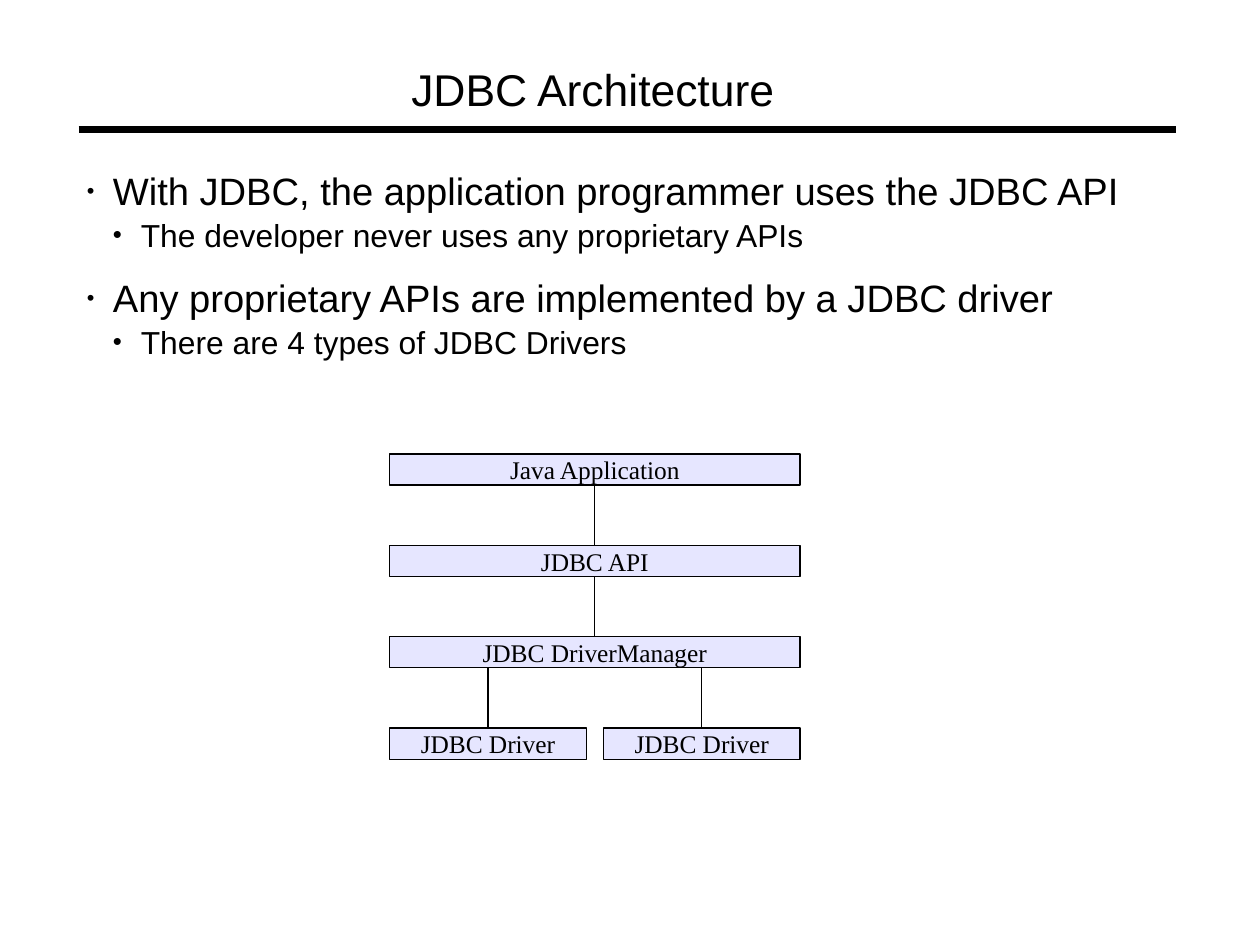
from lxml.etree import SubElement
from pptx import Presentation
from pptx.dml.color import RGBColor
from pptx.enum.shapes import MSO_CONNECTOR, MSO_SHAPE
from pptx.enum.text import MSO_ANCHOR, MSO_AUTO_SIZE, PP_ALIGN
from pptx.oxml.ns import qn
from pptx.util import Cm, Pt

TITLE = "JDBC Architecture"
# level, text
POINTS = [
    (0, "With JDBC, the application programmer uses the JDBC API"),
    (1, "The developer never uses any proprietary APIs"),
    (0, "Any proprietary APIs are implemented by a JDBC driver"),
    (1, "There are 4 types of JDBC Drivers"),
]
# size, space before, indent, hanging, bullet percent for each level
LEVELS = [(24, 12, 0.58, 0.58, 57), (20, 0, 1.2, 0.62, 81)]
LAYERS = ["Java Application", "JDBC API", "JDBC DriverManager"]
DRIVERS = ["JDBC Driver", "JDBC Driver"]

BLACK, LAVENDER = "000000", "E6E6FF"
STACK_LEFT, STACK_TOP, STACK_W = 8.66, 10.09, 9.12
BOX_H, PITCH, DRIVER_W = 0.69, 2.03, 4.37


def color(value):
    return RGBColor.from_string(value)


def style_runs(p, size, font):
    for r in p.runs:
        r.font.size, r.font.name = Pt(size), font
        r.font.color.rgb = color(BLACK)


def prepare_frame(tf, anchor):
    tf.margin_left = tf.margin_top = tf.margin_right = tf.margin_bottom = 0
    tf.word_wrap, tf.auto_size = True, MSO_AUTO_SIZE.NONE
    tf.vertical_anchor = anchor


def place(shape, left, top, width, height):
    shape.left, shape.top = Cm(left), Cm(top)
    shape.width, shape.height = Cm(width), Cm(height)


def add_bullet(p, indent, hanging, percent):
    pPr = p._p.get_or_add_pPr()
    pPr.set("marL", str(Cm(indent)))
    pPr.set("indent", str(-Cm(hanging)))
    clr = SubElement(pPr, qn("a:buClr"))
    SubElement(clr, qn("a:srgbClr"), val=BLACK)
    SubElement(pPr, qn("a:buSzPct"), val=str(percent * 1000))
    SubElement(pPr, qn("a:buFont"), typeface="Arial")
    SubElement(pPr, qn("a:buChar"), char="•")


def add_box(s, text, left, top, width):
    box = s.shapes.add_shape(MSO_SHAPE.ROUNDED_RECTANGLE,
                             Cm(left), Cm(top), Cm(width), Cm(BOX_H))
    box.adjustments[0] = 0
    box.shadow.inherit = False
    box.fill.solid()
    box.fill.fore_color.rgb = color(LAVENDER)
    box.line.color.rgb = color(BLACK)
    box.line.width = Pt(0.75)
    tf = box.text_frame
    prepare_frame(tf, MSO_ANCHOR.MIDDLE)
    tf.text = text
    tf.paragraphs[0].alignment = PP_ALIGN.CENTER
    style_runs(tf.paragraphs[0], 16, "Times New Roman")
    return box


def add_line(s, x1, y1, x2, y2, width=0.75):
    line = s.shapes.add_connector(MSO_CONNECTOR.STRAIGHT, x1, y1, x2, y2)
    line.line.color.rgb = color(BLACK)
    line.line.width = Pt(width)
    SubElement(line._element.spPr, qn("a:effectLst"))
    return line


def add_link(s, upper, lower):
    """Drop a vertical line from the upper box to the top centre of the lower one."""
    x = lower.left + lower.width // 2
    link = add_line(s, x, upper.top + upper.height, x, lower.top)
    if upper.left == lower.left and upper.width == lower.width:
        link.begin_connect(upper, 2)
    link.end_connect(lower, 0)


prs = Presentation()
prs.slide_width, prs.slide_height = Cm(28), Cm(21)
s = prs.slides.add_slide(prs.slide_layouts[1])
title, body = s.placeholders[0], s.placeholders[1]

place(title, 9.14, 1.32, 14.5, 1.19)
prepare_frame(title.text_frame, MSO_ANCHOR.TOP)
title.text_frame.text = TITLE
p = title.text_frame.paragraphs[0]
p.alignment, p.line_spacing = PP_ALIGN.LEFT, 1.05
style_runs(p, 28, "Arial")

add_line(s, Cm(1.75), Cm(2.88), Cm(26.14), Cm(2.88), 4.3)

place(body, 1.93, 3.68, 24.08, 4.14)
tf = body.text_frame
prepare_frame(tf, MSO_ANCHOR.TOP)
for i, (level, text) in enumerate(POINTS):
    size, before, indent, hanging, percent = LEVELS[level]
    p = tf.paragraphs[0] if i == 0 else tf.add_paragraph()
    p.text, p.level = text, level
    p.line_spacing, p.space_before = 1.05, Pt(before if i else 0)
    style_runs(p, size, "Arial")
    add_bullet(p, indent, hanging, percent)

layers = [add_box(s, text, STACK_LEFT, STACK_TOP + i * PITCH, STACK_W)
          for i, text in enumerate(LAYERS)]
driver_top = STACK_TOP + len(LAYERS) * PITCH
driver_step = STACK_W - DRIVER_W
drivers = [add_box(s, text, STACK_LEFT + i * driver_step, driver_top, DRIVER_W)
           for i, text in enumerate(DRIVERS)]

for upper, lower in zip(layers, layers[1:]):
    add_link(s, upper, lower)
for driver in drivers:
    add_link(s, layers[-1], driver)

prs.save("out.pptx")
